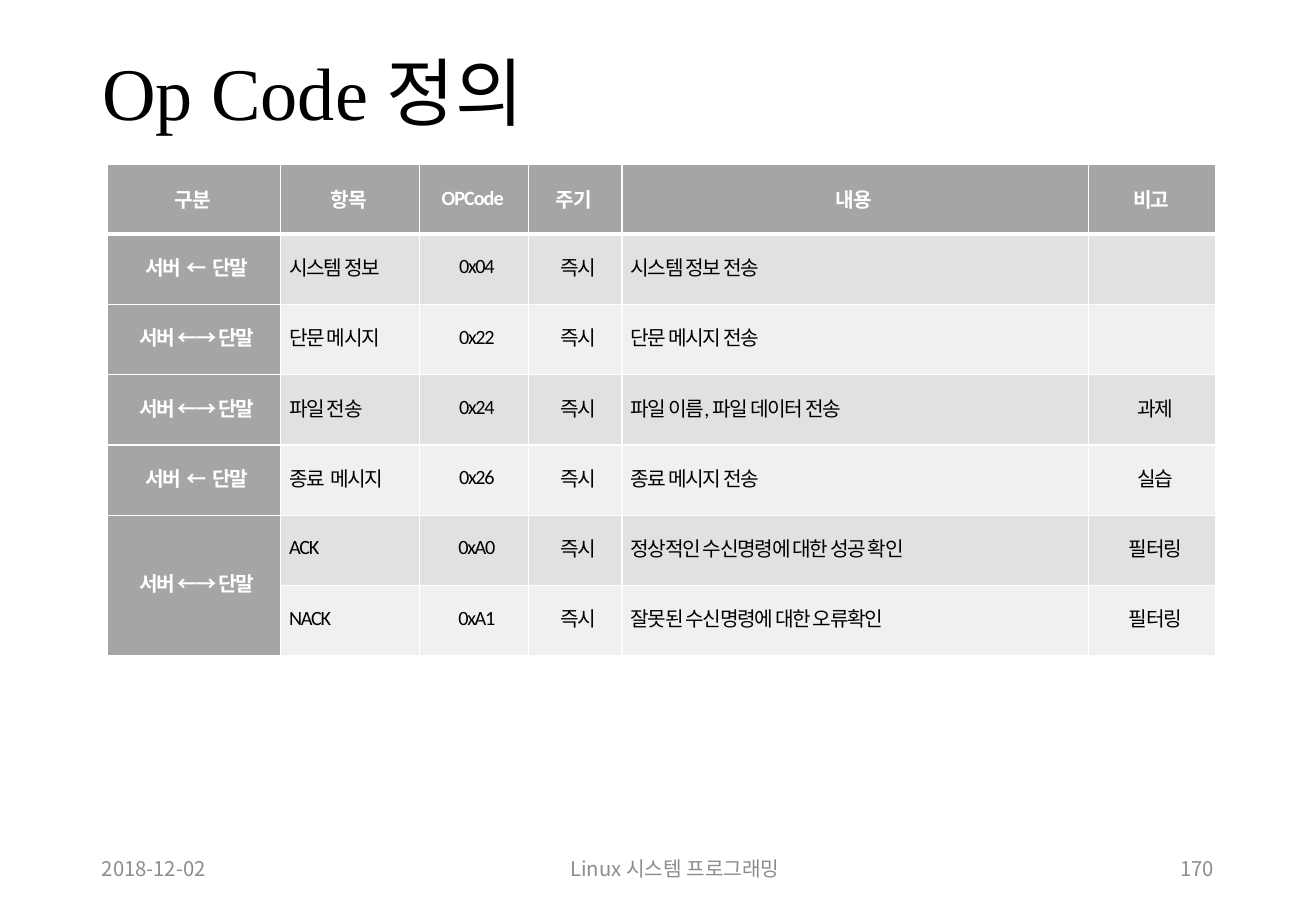
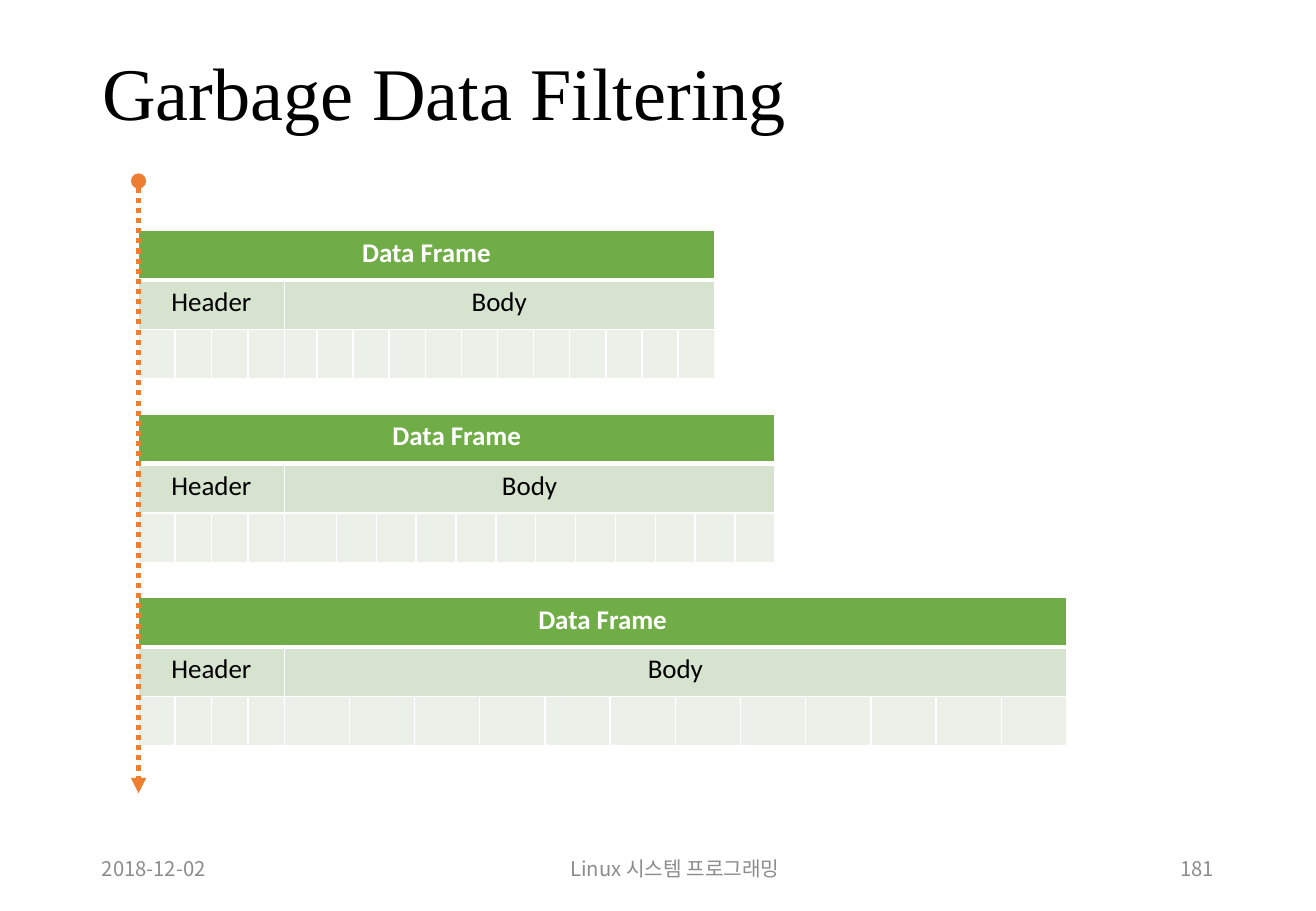
import dataclasses

import lxml.etree
import pptx
import pptx.dml.color
import pptx.enum.dml
import pptx.enum.shapes
import pptx.enum.text
import pptx.oxml.ns
import pptx.util

ALIGN = pptx.enum.text.PP_ALIGN
MIDDLE = pptx.enum.text.MSO_ANCHOR.MIDDLE
qn = pptx.oxml.ns.qn


def text_style(name, size, colour, align, bold=False, line=1.0, spacing=0, indent=0):
    return {
        "font": {"name": name, "size": pptx.util.Pt(size), "bold": bold},
        "para": {"alignment": align, "line_spacing": line},
        "colour": colour,
        "spacing": spacing,
        "indent": indent,
    }


class Theme:
    white = "FFFFFF"
    black = "000000"
    accent = "ED7D31"
    code_head, code_bands = "A5A5A5", ("E1E1E1", "F0F0F0")
    frame_fills = ("70AD47", "D5E3CF", "EBF1E9")
    east_asian = "Noto Sans CJK KR"
    rule, heavy_rule = 1, 3
    title = text_style("Times New Roman", 44, black, ALIGN.LEFT, line=0.9)
    footer = text_style(east_asian, 12, "8C8C8C", ALIGN.LEFT)
    code_header = text_style("Calibri", 12, white, ALIGN.CENTER, True, 1.16, -50)
    code_side = text_style("Calibri", 12, white, ALIGN.CENTER, True, 1.0, -80, 0.07)
    code_centre = text_style("Calibri", 12, black, ALIGN.CENTER, spacing=-80, indent=0.07)
    code_left = text_style("Calibri", 12, black, ALIGN.JUSTIFY, spacing=-80, indent=0.07)
    code_filter = text_style("Arial", 12, black, ALIGN.CENTER, spacing=-80, indent=0.07)
    frame_head = text_style("Calibri", 16, white, ALIGN.CENTER, True)
    frame_label = text_style("Calibri", 16, black, ALIGN.CENTER)


@dataclasses.dataclass
class Box:
    left: float
    top: float
    width: float
    height: float

    def share(self, left, top, width, height):
        return Box(
            self.left + self.width * left / 100,
            self.top + self.height * top / 100,
            self.width * width / 100,
            self.height * height / 100,
        )

    def lengths(self):
        return [pptx.util.Inches(value) for value in dataclasses.astuple(self)]


PAGE = Box(0, 0, 10.83, 7.5)
TITLE = PAGE.share(6.83, 5.33, 86.24, 10.53)
FOOTERS = (
    (PAGE.share(6.83, 92.67, 11.73, 5.33), ALIGN.LEFT),
    (PAGE.share(41.09, 92.67, 20.41, 5.33), ALIGN.CENTER),
    (PAGE.share(88.27, 92.67, 4.89, 5.33), ALIGN.RIGHT),
)

CODE_COLUMNS = (1.43, 1.14, 0.9, 0.77, 3.84, 1.05)
CODE_ROWS = (
    ("구분", "항목", "OPCode", "주기", "내용", "비고"),
    ("서버  ←  단말", "시스템 정보", "0x04", "즉시", "시스템 정보 전송", ""),
    ("서버 ←→ 단말", "단문 메시지", "0x22", "즉시", "단문 메시지 전송", ""),
    ("서버 ←→ 단말", "파일 전송", "0x24", "즉시", "파일 이름, 파일 데이터 전송", "과제"),
    ("서버  ←  단말", "종료  메시지", "0x26", "즉시", "종료 메시지 전송", "실습"),
    ("서버 ←→ 단말", "ACK", "0xA0", "즉시", "정상적인 수신명령에 대한 성공 확인", "필터링"),
    ("", "NACK", "0xA1", "즉시", "잘못된 수신명령에 대한 오류확인", "필터링"),
)

HEADER_CELLS, BODY_CELLS = 4, 12
HEADER_CELL_SHARE = 2.77
FRAMES = ((43.77, 2.49), (48.38, 3.97), (70.54, 4.95))
FRAME_LEFT, FRAME_TOP, FRAME_PITCH, FRAME_HEIGHT = 10.53, 25.33, 20.13, 16.27


def set_all(target, values):
    for name, value in values.items():
        setattr(target, name, value)


def colour_of(value):
    return pptx.dml.color.RGBColor.from_string(value)


def write(frame, text, style):
    para = frame.paragraphs[0]
    set_all(para, style["para"])
    if style["indent"]:
        properties = para._p.get_or_add_pPr()
        properties.set("marL", str(pptx.util.Inches(style["indent"])))
        properties.set("indent", "0")
    span = para.add_run()
    span.text = text
    set_all(span.font, style["font"])
    span.font.color.rgb = colour_of(style["colour"])
    properties = span._r.get_or_add_rPr()
    if style["spacing"]:
        properties.set("spc", str(style["spacing"]))
    lxml.etree.SubElement(properties, qn("a:ea"), typeface=Theme.east_asian)


def add_page(deck, title, number):
    page = deck.slides.add_slide(deck.slide_layouts[5])
    heading = page.shapes.title
    set_all(heading, dict(zip(("left", "top", "width", "height"), TITLE.lengths())))
    no_fit = pptx.enum.text.MSO_AUTO_SIZE.NONE
    frame_format = {"word_wrap": True, "auto_size": no_fit, "vertical_anchor": MIDDLE}
    set_all(heading.text_frame, frame_format)
    write(heading.text_frame, title, Theme.title)
    texts = ("2018-12-02", "Linux 시스템 프로그래밍", number)
    for text, (box, align) in zip(texts, FOOTERS):
        footer = page.shapes.add_textbox(*box.lengths())
        set_all(footer.text_frame, frame_format)
        style = Theme.footer | {"para": {"alignment": align}}
        write(footer.text_frame, text, style)
    return page


def paint_cell(cell, fill, row):
    properties = cell._tc.get_or_add_tcPr()
    widths = {
        "a:lnL": Theme.rule,
        "a:lnR": Theme.rule,
        "a:lnT": Theme.heavy_rule if row == 1 else Theme.rule,
        "a:lnB": Theme.heavy_rule if row == 0 else Theme.rule,
    }
    for side, width in widths.items():
        line = lxml.etree.SubElement(properties, qn(side), w=str(pptx.util.Pt(width)))
        paint = lxml.etree.SubElement(line, qn("a:solidFill"))
        lxml.etree.SubElement(paint, qn("a:srgbClr"), val=Theme.white)
    cell.fill.solid()
    cell.fill.fore_color.rgb = colour_of(fill)


def add_grid(page, box, rows, weights):
    table = page.shapes.add_table(rows, len(weights), *box.lengths()).table
    table.horz_banding = False
    for column, weight in zip(table.columns, weights):
        column.width = pptx.util.Inches(box.width * weight / sum(weights))
    for row in table.rows:
        row.height = pptx.util.Inches(box.height / rows)
    return table


def code_style(row, column, text):
    if row == 0:
        return Theme.code_header | {"spacing": -60 if text.isascii() else -50}
    if column == 0:
        return Theme.code_side
    if column in (1, 4):
        return Theme.code_left
    return Theme.code_filter if text == "필터링" else Theme.code_centre


def add_code_table(page, box):
    table = add_grid(page, box, len(CODE_ROWS), CODE_COLUMNS)
    inset = pptx.util.Inches(0.02)
    cell_format = {
        "vertical_anchor": MIDDLE,
        "margin_left": 0,
        "margin_top": inset,
        "margin_right": inset,
        "margin_bottom": pptx.util.Inches(0.06),
    }
    for row, texts in enumerate(CODE_ROWS):
        for column, text in enumerate(texts):
            cell = table.cell(row, column)
            is_head = row == 0 or column == 0
            paint_cell(cell, Theme.code_head if is_head else Theme.code_bands[(row - 1) % 2], row)
            set_all(cell, cell_format)
            if text:
                write(cell.text_frame, text, code_style(row, column, text))
    table.cell(5, 0).merge(table.cell(6, 0))


def add_data_frame(page, box, header_cell, first_body_cell):
    rest = box.width - HEADER_CELLS * header_cell - first_body_cell
    others = BODY_CELLS - 1
    weights = [header_cell] * HEADER_CELLS + [first_body_cell] + [rest / others] * others
    table = add_grid(page, box, len(Theme.frame_fills), weights)
    for row, fill in enumerate(Theme.frame_fills):
        for column in range(len(weights)):
            paint_cell(table.cell(row, column), fill, row)
    last = len(weights) - 1
    for row, start, end, text, style in (
        (0, 0, last, "Data Frame", Theme.frame_head),
        (1, 0, HEADER_CELLS - 1, "Header", Theme.frame_label),
        (1, HEADER_CELLS, last, "Body", Theme.frame_label),
    ):
        cell = table.cell(row, start)
        cell.merge(table.cell(row, end))
        write(cell.text_frame, text, style)


def add_time_arrow(page, box):
    left, top, width, height = box.lengths()
    straight = pptx.enum.shapes.MSO_CONNECTOR.STRAIGHT
    arrow = page.shapes.add_connector(straight, left, top, left + width, top + height)
    arrow.line.color.rgb = colour_of(Theme.accent)
    dots = pptx.enum.dml.MSO_LINE_DASH_STYLE.ROUND_DOT
    set_all(arrow.line, {"width": pptx.util.Pt(Theme.heavy_rule), "dash_style": dots})
    properties = arrow.element.spPr
    line = properties.find(qn("a:ln"))
    for end, kind in (("a:headEnd", "oval"), ("a:tailEnd", "triangle")):
        lxml.etree.SubElement(line, qn(end), type=kind)
    lxml.etree.SubElement(properties, qn("a:effectLst"))


def build_code_page(deck):
    page = add_page(deck, "Op Code 정의", "170")
    add_code_table(page, PAGE.share(8.13, 18, 84.3, 54))


def build_filter_page(deck):
    page = add_page(deck, "Garbage Data Filtering", "181")
    for index, (width, first) in enumerate(FRAMES):
        box = PAGE.share(FRAME_LEFT, FRAME_TOP + index * FRAME_PITCH, width, FRAME_HEIGHT)
        add_data_frame(page, box, PAGE.width * HEADER_CELL_SHARE / 100, PAGE.width * first / 100)
    add_time_arrow(page, PAGE.share(FRAME_LEFT, 19.87, 0, 67.2))


def main():
    deck = pptx.Presentation()
    deck.slide_width = pptx.util.Inches(PAGE.width)
    deck.slide_height = pptx.util.Inches(PAGE.height)
    build_code_page(deck)
    build_filter_page(deck)
    deck.save("out.pptx")


if __name__ == "__main__":
    main()
